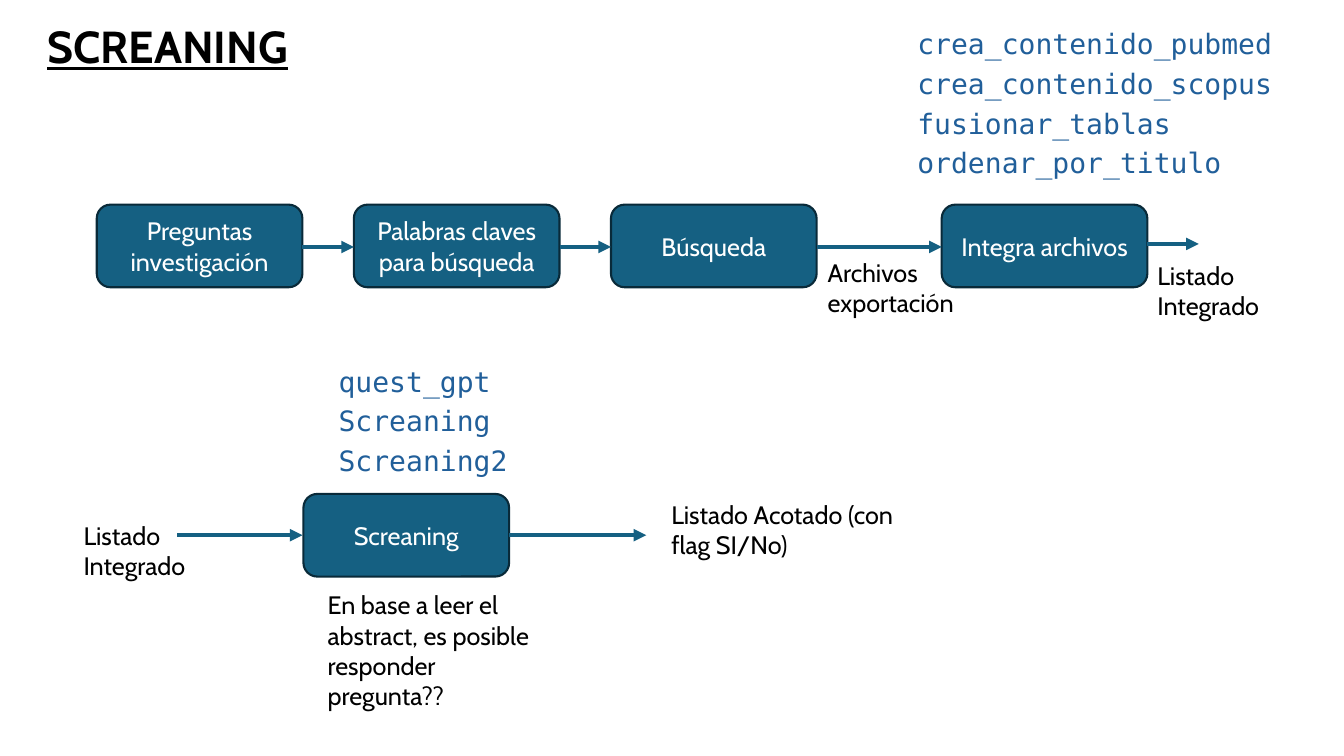
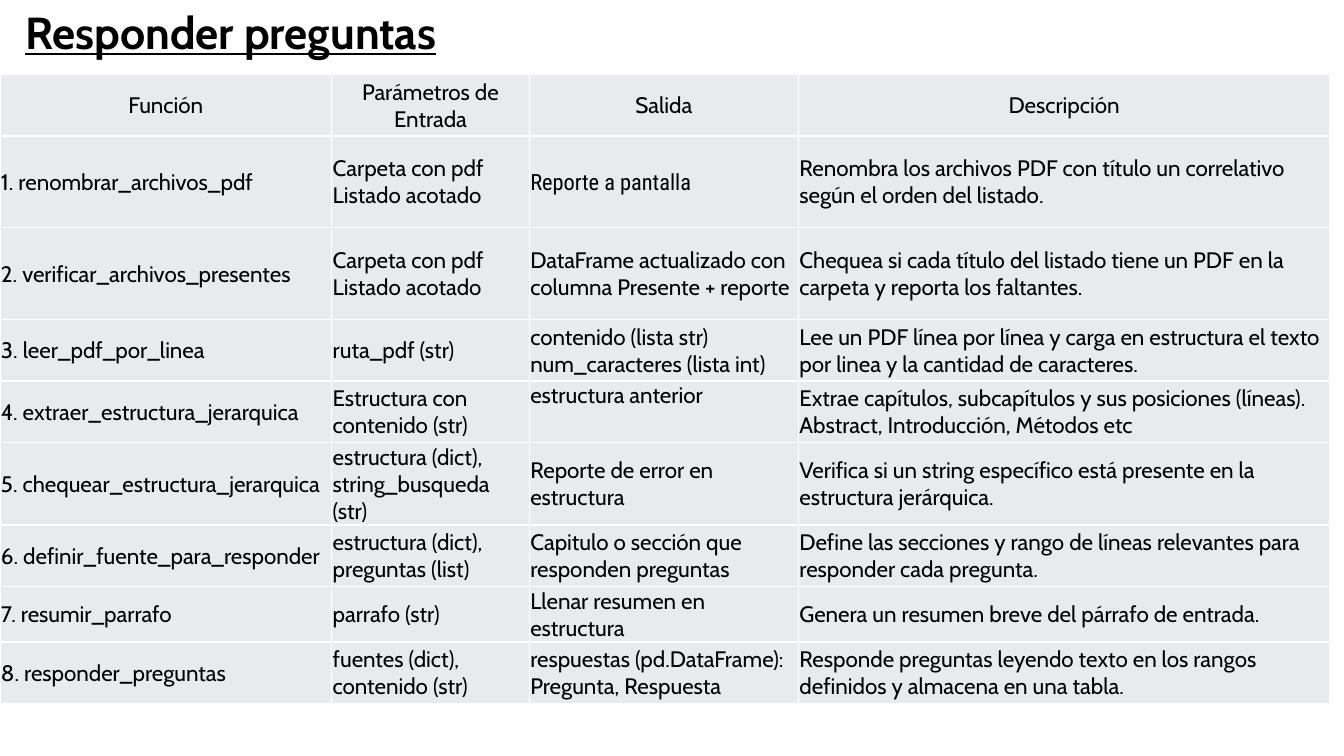
"""Build two slides: a screening flow and a table of functions."""
from dataclasses import dataclass

from lxml import etree
from pptx import Presentation
from pptx.dml.color import RGBColor
from pptx.enum import shapes, text
from pptx.oxml import ns
from pptx.util import Inches, Pt

BLACK = RGBColor(0x00, 0x00, 0x00)
WHITE = RGBColor(0xFF, 0xFF, 0xFF)
TEAL = RGBColor(0x15, 0x60, 0x82)
DARK_TEAL = RGBColor(0x09, 0x2A, 0x39)
CODE_BLUE = RGBColor(0x21, 0x5F, 0x9A)
CELL_GREY = RGBColor(0xE8, 0xEA, 0xED)
BODY_FONT = "Cabin"
CODE_FONT = "DejaVu Sans Mono"
NARROW_FONT = "Roboto Condensed"
TITLE_ONLY = 5
LEFT, CENTER = text.PP_ALIGN.LEFT, text.PP_ALIGN.CENTER
TOP, MIDDLE = text.MSO_ANCHOR.TOP, text.MSO_ANCHOR.MIDDLE
BOX_WIDTH, BOX_HEIGHT = 2.04, 0.82
FLOW_TOP, SCREEN_TOP = 2.03, 4.9


@dataclass(frozen=True)
class Step:
    label: str
    left: float
    top: float


@dataclass(frozen=True)
class Arrow:
    start: float
    end: float
    y: float


@dataclass(frozen=True)
class Note:
    label: str
    left: float
    top: float
    width: float
    height: float
    code: bool = False


STEPS = [
    Step("Preguntas investigación", 0.96, FLOW_TOP),
    Step("Palabras claves para búsqueda", 3.51, FLOW_TOP),
    Step("Búsqueda", 6.06, FLOW_TOP),
    Step("Integra archivos", 9.34, FLOW_TOP),
    Step("Screaning", 3.01, SCREEN_TOP),
]
FLOW_ARROWS = [
    Arrow(before.left + BOX_WIDTH, after.left, 2.45)
    for before, after in zip(STEPS[:3], STEPS[1:4])
]
ARROWS = FLOW_ARROWS + [
    Arrow(11.38, 11.89, 2.42),
    Arrow(1.76, 3, 5.31),
    Arrow(5.05, 6.41, 5.31),
]
NOTES = [
    Note("Archivos exportación", 8.11, 2.5, 1.48, 0.71),
    Note("Listado Integrado", 11.38, 2.53, 1.48, 0.71),
    Note("Listado Integrado", 0.73, 5.11, 1.48, 0.71),
    Note("Listado Acotado (con flag SI/No)", 6.56, 4.9, 2.5, 0.71),
    Note("En base a leer el abstract, es posible responder pregunta??",
         3.15, 5.8, 2.32, 1.31),
    Note("crea_contenido_pubmed\ncrea_contenido_scopus\nfusionar_tablas\nordenar_por_titulo",
         9, 0.35, 3.82, 1.88, code=True),
    Note("quest_gpt\nScreaning\nScreaning2", 3.26, 3.7, 2.04, 1.11, code=True),
]

COLUMN_WIDTHS = [3.29, 1.96, 2.67, 5.27]
ROW_HEIGHTS = [0.61, 0.91, 0.91, 0.61, 0.61, 0.82, 0.61, 0.55, 0.61]
FUNCTION_ROWS = [
    ("Función", "Parámetros de Entrada", "Salida", "Descripción"),
    ("1. renombrar_archivos_pdf", "Carpeta con pdf\nListado acotado", "Reporte a pantalla",
     "Renombra los archivos PDF con título un correlativo según el orden del listado."),
    ("2. verificar_archivos_presentes", "Carpeta con pdf\nListado acotado",
     "DataFrame actualizado con columna Presente + reporte",
     "Chequea si cada título del listado tiene un PDF en la carpeta y reporta los faltantes."),
    ("3. leer_pdf_por_linea", "ruta_pdf (str)",
     "contenido (lista str) num_caracteres (lista int)",
     "Lee un PDF línea por línea y carga en estructura el texto por linea "
     "y la cantidad de caracteres."),
    ("4. extraer_estructura_jerarquica", "Estructura con contenido (str)", "estructura anterior",
     "Extrae capítulos, subcapítulos y sus posiciones (líneas). "
     "Abstract, Introducción, Métodos etc"),
    ("5. chequear_estructura_jerarquica", "estructura (dict), string_busqueda (str)",
     "Reporte de error en estructura",
     "Verifica si un string específico está presente en la estructura jerárquica."),
    ("6. definir_fuente_para_responder", "estructura (dict), preguntas (list)",
     "Capitulo o sección que responden preguntas",
     "Define las secciones y rango de líneas relevantes para responder cada pregunta."),
    ("7. resumir_parrafo", "parrafo (str)", "Llenar resumen en estructura",
     "Genera un resumen breve del párrafo de entrada."),
    ("8. responder_preguntas", "fuentes (dict), contenido (str)",
     "respuestas (pd.DataFrame): Pregunta, Respuesta",
     "Responde preguntas leyendo texto en los rangos definidos y almacena en una tabla."),
]
CELL_FONTS = {"Reporte a pantalla": NARROW_FONT}
CELL_ANCHORS = {"estructura anterior": TOP}


def write_text(frame, content: str, *, size: float = 18, font: str = BODY_FONT,
               color: RGBColor = BLACK, align=LEFT, bold: bool = False,
               underline: bool = False, pitch: float | None = None) -> None:
    """Write one formatted paragraph per line; pitch sets line height and gap."""
    frame.word_wrap = True
    for index, line in enumerate(content.split("\n")):
        paragraph = frame.add_paragraph() if index else frame.paragraphs[0]
        paragraph.alignment = align
        if pitch:
            paragraph.line_spacing = paragraph.space_after = Pt(pitch)
        run = paragraph.add_run()
        run.text = line
        run.font.size = Pt(size)
        run.font.name = font
        run.font.bold = bold
        run.font.underline = underline
        run.font.color.rgb = color


def add_titled_slide(presentation, title: str, left: float, top: float):
    """Add a title-only slide with the shared title style."""
    slide = presentation.slides.add_slide(presentation.slide_layouts[TITLE_ONLY])
    shape = slide.shapes.title
    shape.left, shape.top = Inches(left), Inches(top)
    shape.width, shape.height = Inches(5.03), Inches(0.64)
    shape.text_frame.vertical_anchor = TOP
    shape.text_frame.auto_size = text.MSO_AUTO_SIZE.NONE
    write_text(shape.text_frame, title, size=32, bold=True, underline=True)
    return slide


def add_step(slide, step: Step) -> None:
    """Draw a rounded process box."""
    shape = slide.shapes.add_shape(
        shapes.MSO_SHAPE.ROUNDED_RECTANGLE, Inches(step.left), Inches(step.top),
        Inches(BOX_WIDTH), Inches(BOX_HEIGHT))
    shape.shadow.inherit = False
    shape.fill.solid()
    shape.fill.fore_color.rgb = TEAL
    shape.line.color.rgb = DARK_TEAL
    shape.line.width = Pt(1.5)
    shape.text_frame.vertical_anchor = MIDDLE
    write_text(shape.text_frame, step.label, color=WHITE, align=CENTER)


def add_arrow(slide, arrow: Arrow) -> None:
    """Draw a horizontal arrow."""
    connector = slide.shapes.add_connector(
        shapes.MSO_CONNECTOR.STRAIGHT, Inches(arrow.start), Inches(arrow.y),
        Inches(arrow.end), Inches(arrow.y))
    connector.line.color.rgb = TEAL
    connector.line.width = Pt(3)
    properties = connector.line._get_or_add_ln()
    etree.SubElement(properties, ns.qn("a:tailEnd"), type="triangle")
    etree.SubElement(properties.getparent(), ns.qn("a:effectLst"))


def add_note(slide, note: Note) -> None:
    """Draw a plain label or a list of function names."""
    shape = slide.shapes.add_textbox(
        Inches(note.left), Inches(note.top), Inches(note.width), Inches(note.height))
    if note.code:
        write_text(shape.text_frame, note.label, size=20, font=CODE_FONT,
                   color=CODE_BLUE, pitch=14.2)
    else:
        write_text(shape.text_frame, note.label)


def set_borders(cell) -> None:
    """Give a cell thin white borders."""
    properties = cell._tc.get_or_add_tcPr()
    for index, side in enumerate(("lnL", "lnR", "lnT", "lnB")):
        border = etree.Element(ns.qn(f"a:{side}"), w=str(Pt(1)))
        fill = etree.SubElement(border, ns.qn("a:solidFill"))
        etree.SubElement(fill, ns.qn("a:srgbClr"), val=str(WHITE))
        properties.insert(index, border)


def format_cell(cell, content: str, align) -> None:
    """Fill a table cell with text, background and borders."""
    cell.margin_left = cell.margin_right = cell.margin_top = Inches(0.01)
    cell.margin_bottom = 0
    cell.vertical_anchor = CELL_ANCHORS.get(content, MIDDLE)
    cell.fill.solid()
    cell.fill.fore_color.rgb = CELL_GREY
    set_borders(cell)
    write_text(cell.text_frame, content, size=16, align=align,
               font=CELL_FONTS.get(content, BODY_FONT))


def add_function_table(slide) -> None:
    """Draw the table of functions."""
    table = slide.shapes.add_table(
        len(ROW_HEIGHTS), len(COLUMN_WIDTHS), Inches(0), Inches(0.74),
        Inches(sum(COLUMN_WIDTHS)), Inches(sum(ROW_HEIGHTS))).table
    table.first_row = table.horz_banding = False
    for column, width in zip(table.columns, COLUMN_WIDTHS):
        column.width = Inches(width)
    for index, (row, height) in enumerate(zip(table.rows, ROW_HEIGHTS)):
        row.height = Inches(height)
        for cell, content in zip(row.cells, FUNCTION_ROWS[index]):
            format_cell(cell, content, LEFT if index else CENTER)


def build_screening(presentation) -> None:
    """Build the screening flow slide."""
    slide = add_titled_slide(presentation, "SCREANING", 0.37, 0.14)
    for step in STEPS:
        add_step(slide, step)
    for arrow in ARROWS:
        add_arrow(slide, arrow)
    for note in NOTES:
        add_note(slide, note)


def build_functions(presentation) -> None:
    """Build the slide with the function table."""
    slide = add_titled_slide(presentation, "Responder preguntas", 0.15, 0)
    add_function_table(slide)


def main() -> None:
    """Build and save the presentation."""
    presentation = Presentation()
    presentation.slide_width, presentation.slide_height = Inches(13.33), Inches(7.5)
    build_screening(presentation)
    build_functions(presentation)
    presentation.save("out.pptx")


if __name__ == "__main__":
    main()
